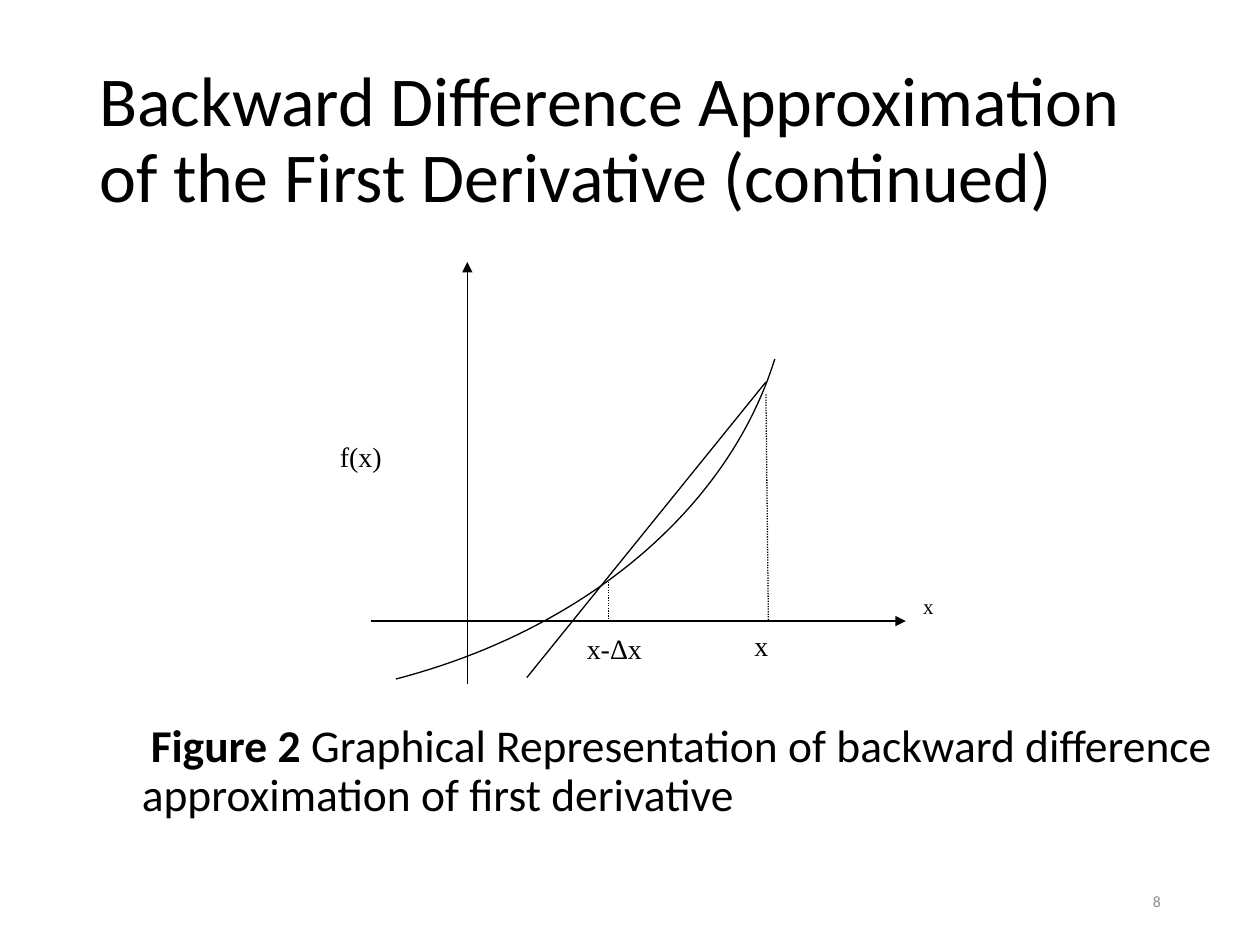
from lxml.etree import SubElement
from pptx import Presentation
from pptx.dml.color import RGBColor
from pptx.enum.dml import MSO_LINE as Dash
from pptx.enum.shapes import MSO_CONNECTOR as Link
from pptx.enum.text import MSO_ANCHOR as Anchor, MSO_AUTO_SIZE as Fit, PP_ALIGN as Align
from pptx.oxml.ns import qn
from pptx.util import Cm, Pt

SANS = {"name": "Calibri", "bold": False}
SERIF = {"name": "Times New Roman", "size": Pt(16)}
INK = "000000"


def paint(text):
    """Turn a hex string into a colour."""
    return RGBColor.from_string(text)


def apply(item, **values):
    """Set each named attribute of an item."""
    for name, value in values.items():
        setattr(item, name, value)


def place(shape, box):
    """Move and size a shape to a box in centimetres."""
    apply(shape, **dict(zip(("left", "top", "width", "height"), map(Cm, box))))


def write(shape, runs, ink=INK, anchor=Anchor.TOP, **para):
    """Fill a shape with one paragraph of (text, font values) runs."""
    frame = shape.text_frame
    apply(frame, word_wrap=True, auto_size=Fit.NONE, vertical_anchor=anchor)
    line = frame.paragraphs[0]
    apply(line, **para)
    for text, font in runs:
        run = line.add_run()
        run.text = text
        apply(run.font, **font)
        run.font.color.rgb = paint(ink)
    return line


def add_text(slide, box, runs, **style):
    """Add a text box and return its paragraph."""
    return write(slide.shapes.add_textbox(*map(Cm, box)), runs, **style)


def add_title(slide, box, text):
    """Place and format the title."""
    title = slide.shapes.title
    place(title, box)
    write(title, [(text, {**SANS, "size": Pt(40)})], anchor=Anchor.MIDDLE,
          alignment=Align.LEFT, line_spacing=0.9)


def add_line(slide, box, start, end, dash=None, arrow=False):
    """Draw a thin line between two points of a box."""
    left, top = box[:2]
    ends = [Cm(base + step) for point in (start, end)
            for base, step in zip((left, top), point)]
    line = slide.shapes.add_connector(Link.STRAIGHT, *ends)
    apply(line.line, width=Pt(0.75), dash_style=dash)
    line.line.color.rgb = paint(INK)
    if arrow:
        SubElement(line.line._get_or_add_ln(), qn("a:tailEnd"), type="triangle")
    SubElement(line._element.spPr, qn("a:effectLst"))


def add_curve(slide, box, knots, steps=48):
    """Draw a cubic Bezier curve through its four control points."""
    def spot(part):
        rest = 1 - part
        mix = (rest ** 3, 3 * rest ** 2 * part, 3 * rest * part ** 2, part ** 3)
        return [Cm(base + sum(m * k for m, k in zip(mix, axis)))
                for base, axis in zip(box, zip(*knots))]

    spots = [spot(step / steps) for step in range(steps + 1)]
    pen = slide.shapes.build_freeform(*spots[0], scale=1.0)
    pen.add_line_segments(spots[1:], close=False)
    curve = pen.convert_to_shape()
    curve.shadow.inherit = False
    curve.fill.background()
    curve.line.width = Pt(0.75)
    curve.line.color.rgb = paint(INK)


def add_label(slide, box, spot, text, **font):
    """Add a white label at an offset within the box."""
    left, top, width, height = spot
    label = slide.shapes.add_textbox(
        *map(Cm, (box[0] + left, box[1] + top, width, height)))
    label.fill.solid()
    label.fill.fore_color.rgb = paint("FFFFFF")
    write(label, [(text, {**SERIF, **font})])


def add_graph(slide, box):
    """Draw the axes, curve, secant and labels."""
    base, axis = 7.24, 2.82
    add_line(slide, box, (axis, 8.51), (axis, 0), arrow=True)
    add_line(slide, box, (0.87, base), (11.66, base), arrow=True)
    add_line(slide, box, (8.84, 2.67), (8.89, base), Dash.ROUND_DOT)
    add_line(slide, box, (5.67, 6.45), (5.67, 7.19), Dash.ROUND_DOT)
    add_curve(slide, box, [(1.38, 8.41), (5.19, 7.42), (8.08, 4.98), (9.02, 1.96)])
    add_line(slide, box, (8.84, 2.42), (4.02, 8.38))
    add_label(slide, box, (8.36, 7.27, 1.45, 1.3), "x")
    add_label(slide, box, (4.98, 7.32, 2.41, 1.45), "x-Δx")
    add_label(slide, box, (11.76, 6.56, 1.45, 1.32), "x", size=Pt(12))
    add_label(slide, box, (0, 3.46, 1.93, 1.5), "f(x)")


def add_caption(slide, box, head, text):
    """Add the figure caption with its first line set in."""
    font = {**SANS, "size": Pt(26)}
    line = add_text(slide, box, [(head, {**font, "bold": True}), (text, font)],
                    line_spacing=0.9)
    apply_indent = line._p.get_or_add_pPr().set
    apply_indent("marL", str(Cm(0.48)))
    apply_indent("indent", str(Cm(0.18)))


def add_number(slide, box, text):
    """Add the page number."""
    add_text(slide, box, [(text, {**SANS, "size": Pt(9)})], ink="8C8C8C",
             anchor=Anchor.MIDDLE, alignment=Align.RIGHT)


def main():
    """Build and save the slide."""
    deck = Presentation()
    apply(deck, slide_width=Cm(25.4), slide_height=Cm(19.05))
    slide = deck.slides.add_slide(deck.slide_layouts[5])
    add_title(slide, (1.75, 1.02, 21.9, 3.68),
              "Backward Difference Approximation of the First Derivative (continued)")
    add_caption(slide, (2.13, 14.45, 22.86, 2.82), "Figure 2",
                " Graphical Representation of backward difference"
                " approximation of first derivative")
    add_number(slide, (17.93, 17.65, 5.72, 1.02), "8")
    add_graph(slide, (6.6, 5.28))
    deck.save("out.pptx")


if __name__ == "__main__":
    main()
